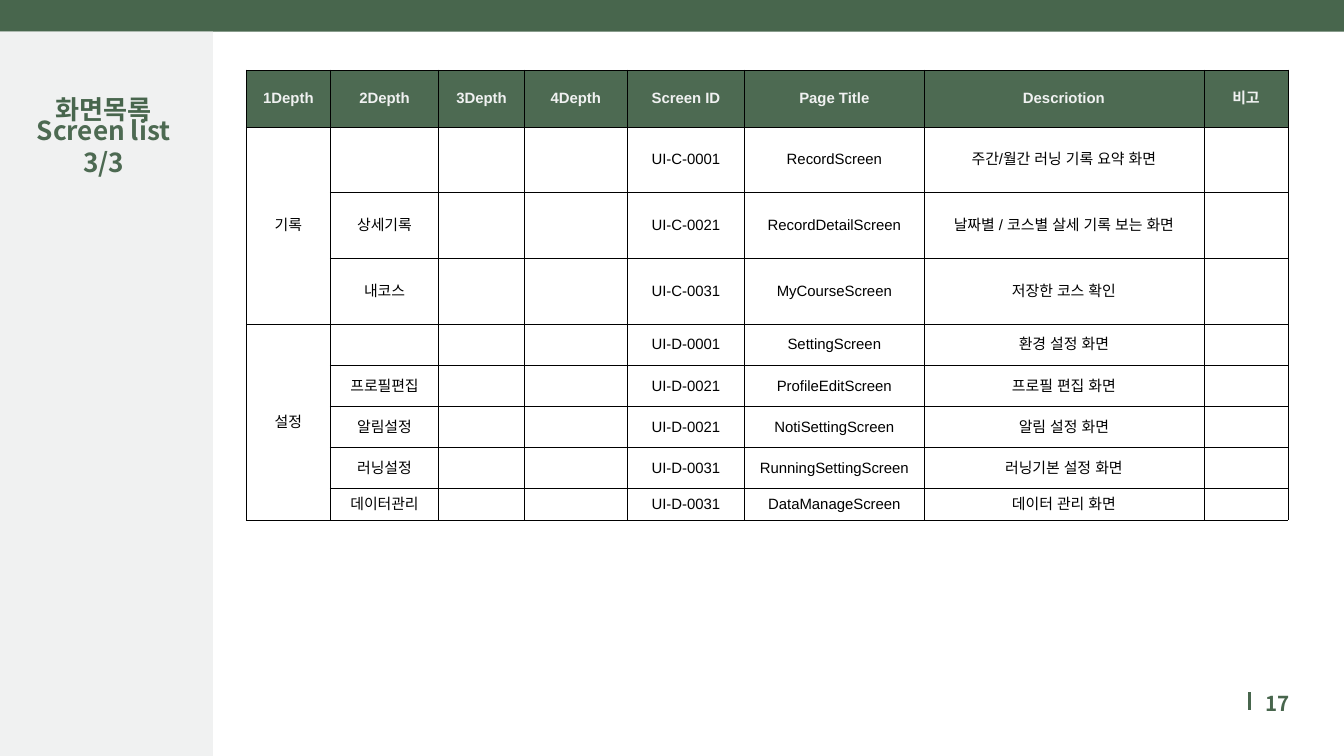
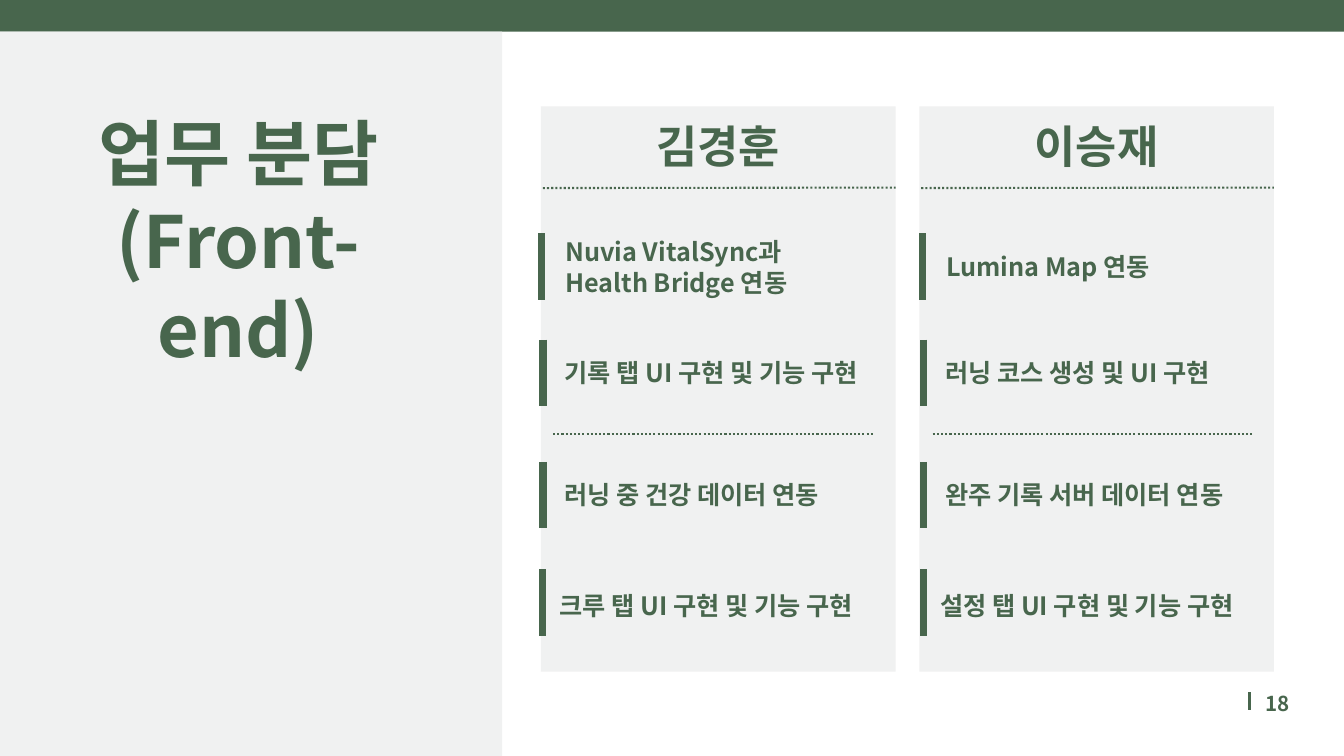
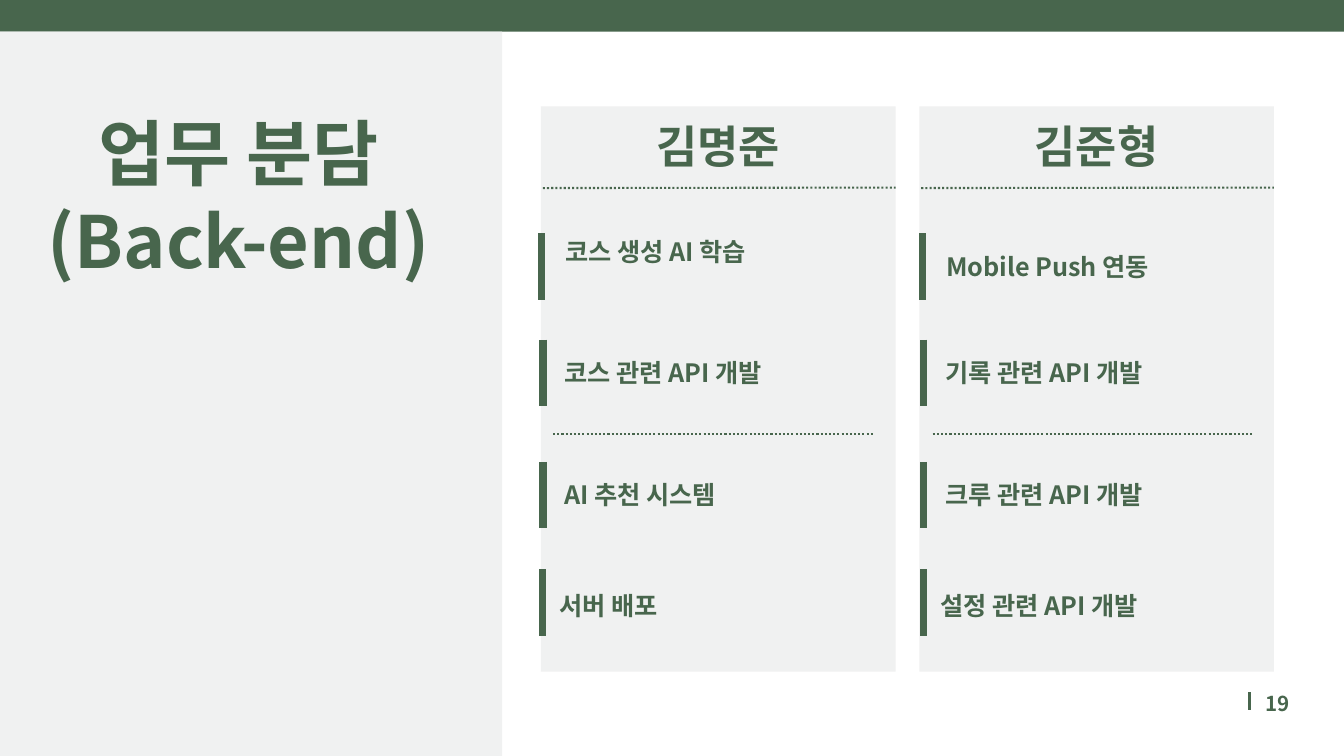
from lxml.etree import SubElement
from pptx import Presentation
from pptx.dml.color import RGBColor
from pptx.enum.dml import MSO_LINE
from pptx.enum.shapes import MSO_CONNECTOR, MSO_SHAPE
from pptx.enum.text import MSO_ANCHOR as ANCHOR, MSO_AUTO_SIZE as AUTO_SIZE, PP_ALIGN as ALIGN
from pptx.oxml.ns import qn
from pptx.util import Pt

GREEN = RGBColor(0x48, 0x66, 0x4D)
TABLE_GREEN = RGBColor(0x4D, 0x6A, 0x52)
PALE = RGBColor(0xF0, 0xF1, 0xF1)
BLACK = RGBColor(0, 0, 0)

SANS = "Noto Sans CJK KR"
SLIDE_WIDTH, SLIDE_HEIGHT, BAND_HEIGHT = 1440, 810, 34

SMALL_TITLE = {"name": SANS, "size": Pt(28), "bold": True}
BIG_TITLE = {"name": SANS, "size": Pt(77), "bold": True}
MEMBER = {"name": SANS, "size": Pt(48), "bold": True}
TASK = {"name": SANS, "size": Pt(27), "bold": True}
PAGE_NUMBER = {"name": SANS, "size": Pt(22), "bold": True}
HEADER_CELL = {"name": "Arial", "size": Pt(16), "bold": True}
BODY_CELL = {"name": "Arial", "size": Pt(16), "bold": False}
NO_INSETS = {"margin_left": 0, "margin_right": 0, "margin_top": 0, "margin_bottom": 0}
FRAME = {**NO_INSETS, "word_wrap": True, "vertical_anchor": ANCHOR.TOP,
         "auto_size": AUTO_SIZE.SHAPE_TO_FIT_TEXT}
CELL = {"margin_left": Pt(7.2), "margin_right": Pt(7.2), "margin_top": Pt(7.2),
        "margin_bottom": Pt(7.2), "vertical_anchor": ANCHOR.MIDDLE}

COLUMN_WIDTHS = [90, 116, 92, 110, 126, 192, 300, 90]
ROW_HEIGHTS = [61] + [70.5] * 3 + [44] * 4 + [31.7]
HEADERS = ["1Depth", "2Depth", "3Depth", "4Depth", "Screen ID", "Page Title", "Descriotion", "비고"]
SCREENS = {
    "기록": [
        ("", "UI-C-0001", "RecordScreen", "주간/월간 러닝 기록 요약 화면"),
        ("상세기록", "UI-C-0021", "RecordDetailScreen", "날짜별 / 코스별 살세 기록 보는 화면"),
        ("내코스", "UI-C-0031", "MyCourseScreen", "저장한 코스 확인"),
    ],
    "설정": [
        ("", "UI-D-0001", "SettingScreen", "환경 설정 화면"),
        ("프로필편집", "UI-D-0021", "ProfileEditScreen", "프로필 편집 화면"),
        ("알림설정", "UI-D-0021", "NotiSettingScreen", "알림 설정 화면"),
        ("러닝설정", "UI-D-0031", "RunningSettingScreen", "러닝기본 설정 화면"),
        ("데이터관리", "UI-D-0031", "DataManageScreen", "데이터 관리 화면"),
    ],
}

CARDS = [(579.6, 114, 380, 605.5), (985, 114, 380, 605.5)]
CARD_SHIFTS = [0, 2.7]
FIRST_TASK_TOPS = [139.5, 155.5]
TASK_TOPS = [269, 400, 519]
TASK_LEFTS = [26, 25, 25, 19.5]
TASK_WIDTH = 320
BAR_TOPS = [136, 250, 381, 496]
BAR_LEFTS = [0.8, 2.2, 2.2, 1.5]
BAR_LENGTH = 71

FRONT_END = {
    "김경훈": ["Nuvia VitalSync과\nHealth Bridge 연동", "기록 탭 UI 구현 및 기능 구현",
            "러닝 중 건강 데이터 연동", "크루 탭 UI 구현 및 기능 구현"],
    "이승재": ["Lumina Map 연동", "러닝 코스 생성 및 UI 구현",
            "완주 기록 서버 데이터 연동", "설정 탭 UI 구현 및 기능 구현"],
}
BACK_END = {
    "김명준": ["코스 생성 AI 학습", "코스 관련 API 개발", "AI 추천 시스템", "서버 배포"],
    "김준형": ["Mobile Push 연동", "기록 관련 API 개발", "크루 관련 API 개발", "설정 관련 API 개발"],
}


def apply(target, values):
    for name, value in values.items():
        setattr(target, name, value)


def points(box):
    return [Pt(value) for value in box]


def write(paragraph, text, style, color, align, spacing=None):
    paragraph.text = text
    paragraph.alignment = align
    if spacing:
        paragraph.line_spacing = Pt(spacing)
    for run in paragraph.runs:
        apply(run.font, style)
        run.font.color.rgb = color
        SubElement(run.font._element, qn("a:ea"), typeface=style["name"])


def fill_frame(shape, lines, style, color=GREEN, align=ALIGN.CENTER, spacing=None):
    frame = shape.text_frame
    apply(frame, FRAME)
    for index, line in enumerate(lines):
        paragraph = frame.add_paragraph() if index else frame.paragraphs[0]
        write(paragraph, line, style, color, align, spacing)


def add_text(slide, box, lines, style, **options):
    fill_frame(slide.shapes.add_textbox(*points(box)), lines, style, **options)


def add_rectangle(slide, box, color):
    shape = slide.shapes.add_shape(MSO_SHAPE.RECTANGLE, *points(box))
    shape.shadow.inherit = False
    shape.fill.solid()
    shape.fill.fore_color.rgb = color
    shape.line.fill.background()


def add_line(slide, start, end, width, dash=None):
    line = slide.shapes.add_connector(MSO_CONNECTOR.STRAIGHT, *points(start + end))
    line.line.color.rgb = GREEN
    line.line.width = Pt(width)
    if dash:
        line.line.dash_style = dash
    SubElement(line._element.spPr, qn("a:effectLst"))


def add_page(presentation, number, panel_width, title_box, title_lines, title_style):
    slide = presentation.slides.add_slide(presentation.slide_layouts[5])
    add_rectangle(slide, (0, 0, SLIDE_WIDTH, BAND_HEIGHT), GREEN)
    add_rectangle(slide, (0, BAND_HEIGHT, panel_width, SLIDE_HEIGHT - BAND_HEIGHT), PALE)
    title = slide.shapes.title
    slide.shapes._spTree.append(title._element)
    title.left, title.top, title.width, title.height = points(title_box)
    fill_frame(title, title_lines, title_style, spacing=94.7)
    add_line(slide, (1338.5, 741.6), (1338.5, 761), 3.75)
    add_text(slide, (1347, 736, 34.6, 29), [str(number)], PAGE_NUMBER,
             align=ALIGN.RIGHT, spacing=30.8)
    return slide


def format_cell(cell, text, is_header):
    apply(cell, CELL)
    paragraph = cell.text_frame.paragraphs[0]
    write(paragraph, text, HEADER_CELL if is_header else BODY_CELL,
          PALE if is_header else BLACK, ALIGN.CENTER)
    if not text:
        paragraph._p.get_or_add_endParaRPr().set("sz", "1600")
    properties = cell._tc.get_or_add_tcPr()
    for side in ("lnL", "lnR", "lnT", "lnB"):
        border = SubElement(properties, qn(f"a:{side}"), w=str(Pt(1)))
        fill = SubElement(border, qn("a:solidFill"))
        SubElement(fill, qn("a:srgbClr"), val=str(BLACK))
    if is_header:
        cell.fill.solid()
        cell.fill.fore_color.rgb = TABLE_GREEN
    else:
        cell.fill.background()


def add_screen_table(slide, left, top):
    rows = [HEADERS]
    groups = []
    for group, screens in SCREENS.items():
        groups.append((len(rows), len(rows) + len(screens) - 1))
        for index, (depth, screen_id, page, description) in enumerate(screens):
            rows.append([group if index == 0 else "", depth, "", "",
                         screen_id, page, description, ""])
    box = (left, top, sum(COLUMN_WIDTHS), sum(ROW_HEIGHTS))
    table = slide.shapes.add_table(len(rows), len(HEADERS), *points(box)).table
    table.first_row = table.horz_banding = False
    for column, width in zip(table.columns, COLUMN_WIDTHS):
        column.width = Pt(width)
    for row_index, (values, height) in enumerate(zip(rows, ROW_HEIGHTS)):
        table.rows[row_index].height = Pt(height)
        for column_index, text in enumerate(values):
            format_cell(table.cell(row_index, column_index), text, row_index == 0)
    for first, last in groups:
        table.cell(first, 0).merge(table.cell(last, 0))


def add_member_card(slide, box, member, tasks, first_task_top, shift):
    left, top, width, height = box
    add_rectangle(slide, box, PALE)
    add_text(slide, (left + 25, top + 38, 330, 35), [member], MEMBER, spacing=32.4)
    add_line(slide, (left + 2, top + 87.5), (left + width, top + 87), 2.25, MSO_LINE.ROUND_DOT)
    divider_left, divider_top = left + 13 + shift / 2, top + 351
    add_line(slide, (divider_left, divider_top), (divider_left + 343, divider_top),
             2.25, MSO_LINE.ROUND_DOT)
    task_tops = [first_task_top] + TASK_TOPS
    for task, task_left, task_top, bar_left, bar_top in zip(
            tasks, TASK_LEFTS, task_tops, BAR_LEFTS, BAR_TOPS):
        bar_x, bar_y = left + bar_left + shift, top + bar_top
        add_line(slide, (bar_x, bar_y), (bar_x, bar_y + BAR_LENGTH), 7.5)
        add_text(slide, (left + task_left + shift, top + task_top, TASK_WIDTH, 32.4), [task],
                 TASK, align=ALIGN.LEFT, spacing=32.4)


def build_screen_list(presentation, number):
    slide = add_page(presentation, number, 228, (30, 39, 162, 78.5), ["화면목록"], SMALL_TITLE)
    add_text(slide, (-54, 123, 330, 68), ["Screen list", "3/3"], SMALL_TITLE, color=TABLE_GREEN)
    add_screen_table(slide, 264, 75)


def build_roles(presentation, number, team, members):
    slide = add_page(presentation, number, 538, (42, 114, 427, 186),
                     ["업무 분담", f"({team})"], BIG_TITLE)
    for box, (member, tasks), first_task_top, shift in zip(
            CARDS, members.items(), FIRST_TASK_TOPS, CARD_SHIFTS):
        add_member_card(slide, box, member, tasks, first_task_top, shift)


def main():
    presentation = Presentation()
    presentation.slide_width, presentation.slide_height = Pt(SLIDE_WIDTH), Pt(SLIDE_HEIGHT)
    build_screen_list(presentation, 17)
    build_roles(presentation, 18, "Front-end", FRONT_END)
    build_roles(presentation, 19, "Back-end", BACK_END)
    presentation.save("out.pptx")


if __name__ == "__main__":
    main()
